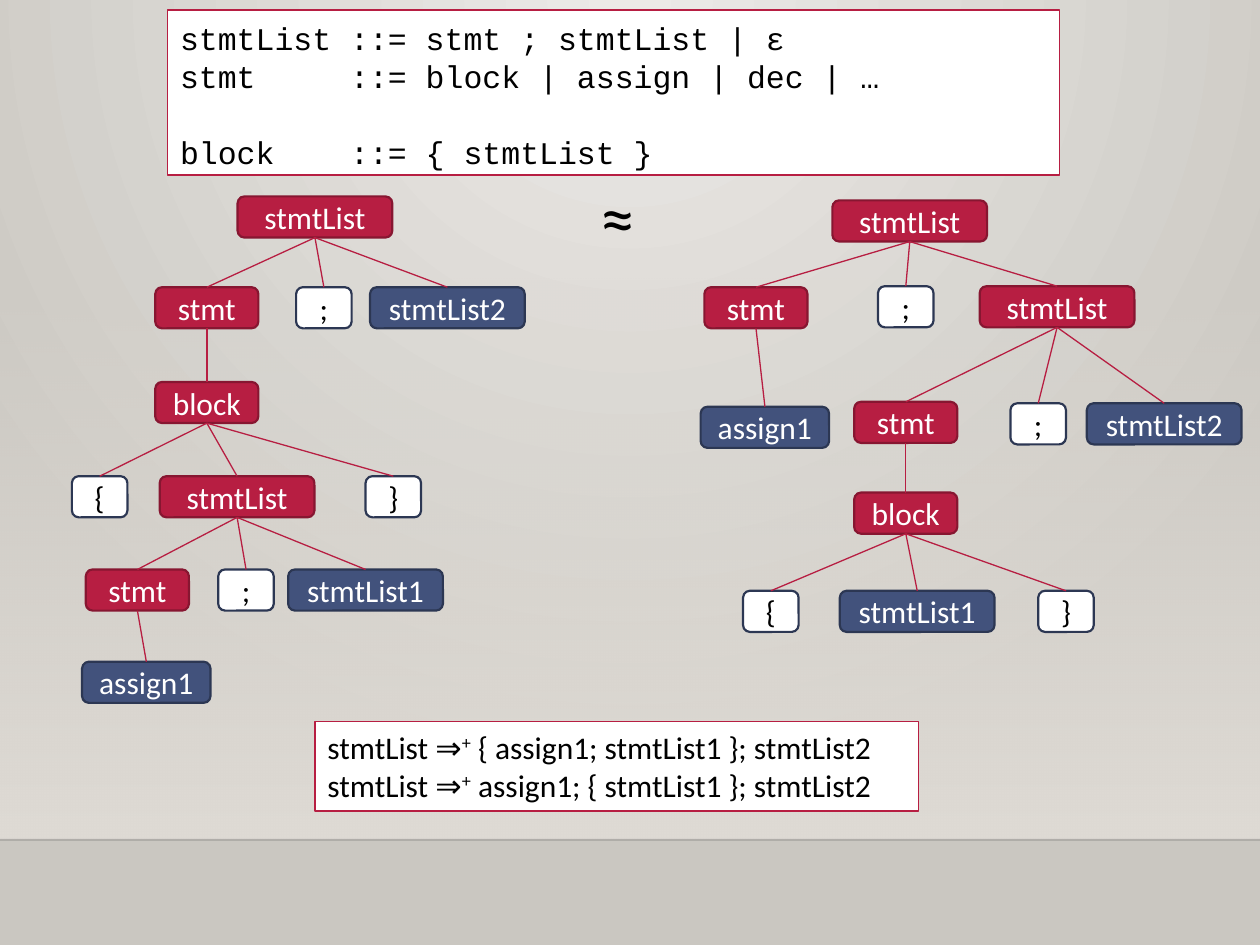
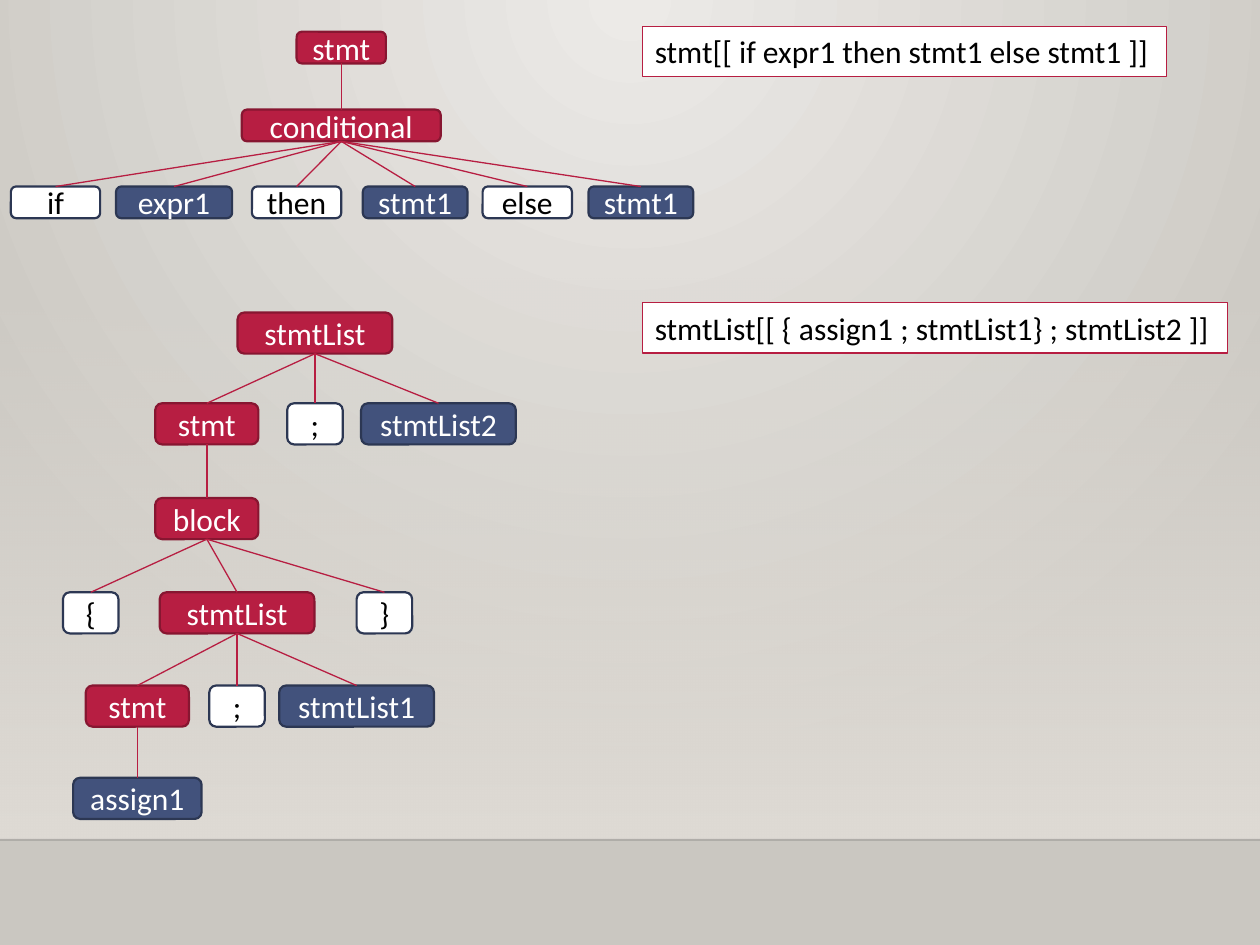
import pptx
import pptx.util
import pptx.dml.color
import pptx.enum.shapes
import pptx.enum.text
import pptx.oxml.ns
import lxml.etree

Cm, Pt = pptx.util.Cm, pptx.util.Pt
rgb = pptx.dml.color.RGBColor.from_string
qn = pptx.oxml.ns.qn
shapes_enum = pptx.enum.shapes
align = pptx.enum.text.PP_ALIGN
anchor = pptx.enum.text.MSO_ANCHOR

colors = {
    "red": "B71E42", "dark red": "871631", "blue": "42527C", "dark blue": "2C3753",
    "white": "FFFFFF", "black": "000000", "rule": "000001",
    "glow": "ECEAE7", "edge": "CAC7C1", "band": "DFDBD5",
}
looks = {
    "inner": ("red", "dark red", "white"),
    "token": ("white", "dark blue", "black"),
    "leaf": ("blue", "dark blue", "white"),
}
kinds = {name: "inner" for name in ("stmtList", "stmt", "block", "conditional")}
kinds.update({name: "token" for name in (";", "{", "}", "if", "then", "else")})
widths = {
    "stmtList": 3.12, "stmtList1": 3.12, "stmtList2": 3.12, "stmt": 2.08, "block": 2.08,
    "assign1": 2.59, ";": 1.12, "{": 1.12, "}": 1.12,
    "conditional": 4.01, "if": 1.8, "then": 1.8, "else": 1.8, "expr1": 2.34, "stmt1": 2.11,
}

# Each node: text, index of its parent, centre and top in centimetres
nested_block = [
    ("stmtList", None, 6.35, 3.96),
    ("stmt", 0, 4.17, 5.79), (";", 0, 6.35, 5.79), ("stmtList2", 0, 8.84, 5.79),
    ("block", 1, 4.17, 7.7),
    ("{", 4, 1.83, 9.6), ("stmtList", 4, 4.78, 9.6), ("}", 4, 7.75, 9.6),
    ("stmt", 6, 2.77, 11.48), (";", 6, 4.78, 11.48), ("stmtList1", 6, 7.19, 11.48),
    ("assign1", 8, 2.77, 13.34),
]
assign_first = [
    ("stmtList", None, 18.34, 4.04),
    ("stmt", 0, 15.24, 5.79), (";", 0, 18.26, 5.77), ("stmtList", 0, 21.31, 5.77),
    ("assign1", 1, 15.42, 8.2),
    ("stmt", 3, 18.26, 8.1), (";", 3, 20.93, 8.13), ("stmtList2", 3, 23.47, 8.13),
    ("block", 5, 18.26, 9.93),
    ("{", 8, 15.54, 11.91), ("stmtList1", 8, 18.49, 11.91), ("}", 8, 21.49, 11.91),
]
conditional = [
    ("stmt", None, 6.88, 0.64), ("conditional", 0, 6.88, 2.21),
    ("if", 1, 1.12, 3.76), ("expr1", 1, 3.51, 3.76), ("then", 1, 5.98, 3.76),
    ("stmt1", 1, 8.37, 3.76), ("else", 1, 10.63, 3.76), ("stmt1", 1, 12.92, 3.76),
]
# Each tree: slide, nodes, node height, shift down, shift right of the leaves, own widths
trees = [
    (0, nested_block, 0.83, 0, 0.18, widths),
    (0, assign_first, 0.83, 0, 0, widths),
    (1, conditional, 0.64, 0, 0, {**widths, "stmt": 1.8}),
    (1, nested_block, 0.83, 2.34, 0, widths),
]
# Each panel: slide, font, left, top, width, height, lines
panels = [
    (0, "Courier New", 3.38, 0.2, 17.98, 3.33,
     ["stmtList ::= stmt ; stmtList | ε",
      "stmt     ::= block | assign | dec | …",
      "block    ::= { stmtList }"]),
    (0, "Calibri", 6.35, 14.55, 12.17, 1.8,
     ["stmtList ⇒^ { assign1; stmtList1 }; stmtList2",
      "stmtList ⇒^ assign1; { stmtList1 }; stmtList2"]),
    (1, "Calibri", 12.95, 0.53, 10.57, 1.02, ["stmt[[ if expr1 then stmt1 else stmt1 ]]"]),
    (1, "Calibri", 12.95, 6.1, 11.79, 1.02, ["stmtList[[ { assign1 ; stmtList1} ; stmtList2 ]]"]),
]


def add_box(slide, preset, left, top, width, height, fill, line, weight):
    box = slide.shapes.add_shape(preset, Cm(left), Cm(top), Cm(width), Cm(height))
    box.shadow.inherit = False
    box.fill.solid()
    box.fill.fore_color.rgb = rgb(colors[fill])
    box.line.color.rgb = rgb(colors[line])
    box.line.width = Pt(weight)
    return box


def add_line(slide, start, end, color, weight):
    line = slide.shapes.add_connector(
        shapes_enum.MSO_CONNECTOR.STRAIGHT, Cm(start[0]), Cm(start[1]), Cm(end[0]), Cm(end[1]))
    line.line.color.rgb = rgb(colors[color])
    line.line.width = Pt(weight)
    lxml.etree.SubElement(line.element.spPr, qn("a:effectLst"))
    return line


deck = pptx.Presentation()
deck.slide_width, deck.slide_height = Cm(25.4), Cm(19.05)

backdrop = deck.slide_master.background.fill
backdrop.gradient()
for stop, name in zip(backdrop.gradient_stops, ("glow", "edge")):
    stop.color.rgb = rgb(colors[name])
radial = deck.slide_master.element.find(".//" + qn("a:gradFill"))
radial.remove(radial.find(qn("a:lin")))
circle = lxml.etree.SubElement(radial, qn("a:path"), path="circle")
lxml.etree.SubElement(circle, qn("a:fillToRect"), l="43000", t="0", r="43000", b="100000")

slides = [deck.slides.add_slide(deck.slide_layouts[6]) for _ in range(2)]
for slide in slides:
    band = add_box(slide, shapes_enum.MSO_SHAPE.RECTANGLE, 0, 5.6, 25.4, 11.33, "band", "band", 1)
    band.line.fill.background()
    band.fill.gradient()
    band.fill.gradient_angle = 270
    for stop in band.fill.gradient_stops:
        stop.color.rgb = rgb(colors["band"])
    clear = band.element.spPr.find(".//" + qn("a:srgbClr"))
    lxml.etree.SubElement(clear, qn("a:alpha"), val="0")
    floor = add_line(slide, (0, 16.93), (25.4, 16.93), "rule", 1)
    faint = floor.element.spPr.find(".//" + qn("a:srgbClr"))
    lxml.etree.SubElement(faint, qn("a:alpha"), val="20000")

for page, font, left, top, width, height, lines in panels:
    panel = add_box(slides[page], shapes_enum.MSO_SHAPE.RECTANGLE,
                    left, top, width, height, "white", "red", 0.75)
    frame = panel.text_frame
    frame.word_wrap = True
    frame.vertical_anchor = anchor.TOP
    for number, text in enumerate(lines):
        paragraph = frame.paragraphs[0] if number == 0 else frame.add_paragraph()
        paragraph.alignment = align.LEFT
        before, mark, after = text.partition("^")
        paragraph.add_run().text = before
        if mark:
            plus = paragraph.add_run()
            plus.text = "+"
            plus._r.get_or_add_rPr().set("baseline", "30000")
            paragraph.add_run().text = after
        if font == "Courier New":
            frame.margin_top = Cm(0.19)
            paragraph.line_spacing = Pt(21.6)
            if number == 2:
                paragraph.space_before = Pt(21.6)
        paragraph.font.name = font
        paragraph.font.size = Pt(18)
        paragraph.font.color.rgb = rgb(colors["black"])

equivalence = slides[0].shapes.add_textbox(Cm(11.86), Cm(3.38), Cm(1.3), Cm(1.96)).text_frame
equivalence.word_wrap = False
equivalence.text = "≈"
equivalence.paragraphs[0].font.name = "Calibri"
equivalence.paragraphs[0].font.size = Pt(40)
equivalence.paragraphs[0].font.color.rgb = rgb(colors["black"])

for page, nodes, height, down, leaf_shift, node_widths in trees:
    boxes = []
    for text, parent, centre, top in nodes:
        kind = kinds.get(text, "leaf")
        fill, outline, ink = looks[kind]
        shift = 0 if kind == "inner" else leaf_shift
        width = node_widths[text]
        node = add_box(slides[page], shapes_enum.MSO_SHAPE.ROUNDED_RECTANGLE,
                       centre + shift - width / 2, top + down, width, height, fill, outline, 1.25)
        node.text_frame.word_wrap = False
        node.text_frame.vertical_anchor = anchor.MIDDLE
        node.text_frame.text = text
        label = node.text_frame.paragraphs[0]
        label.alignment = align.CENTER
        label.font.name = "Calibri"
        label.font.size = Pt(18)
        label.font.color.rgb = rgb(colors[ink])
        boxes.append(node)
    for child, (text, parent, centre, top) in zip(boxes, nodes):
        if parent is not None:
            branch = add_line(slides[page], (0, 0), (1, 1), "red", 0.75)
            branch.begin_connect(boxes[parent], 2)
            branch.end_connect(child, 0)

deck.save("out.pptx")
